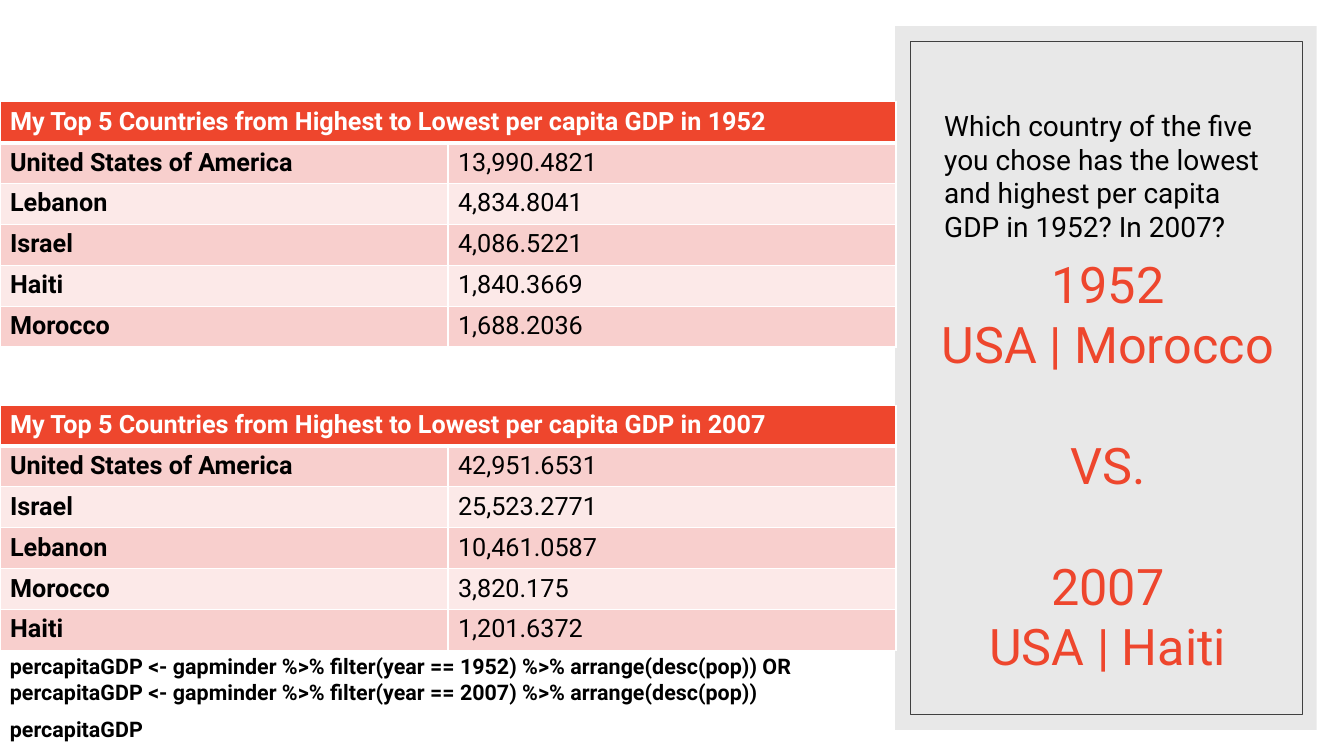
from dataclasses import dataclass

from lxml.etree import SubElement
from pptx import Presentation
from pptx.dml.color import RGBColor
from pptx.enum.shapes import MSO_SHAPE
from pptx.enum.text import MSO_ANCHOR, PP_ALIGN
from pptx.oxml.ns import qn
from pptx.util import Pt

BLACK = RGBColor(0x00, 0x00, 0x00)
WHITE = RGBColor(0xFF, 0xFF, 0xFF)
RED = RGBColor(0xEE, 0x46, 0x2D)
DARK_BAND = RGBColor(0xF8, 0xCF, 0xCD)
LIGHT_BAND = RGBColor(0xFC, 0xE9, 0xE8)
PANEL_GREY = RGBColor(0xD9, 0xD9, 0xD9)
FRAME_GREY = RGBColor(0x40, 0x40, 0x40)
FONT = "Roboto"
TABLE_WIDTH = 640
ROW_HEIGHT = 29.2


@dataclass
class Box:
    left: float
    top: float
    width: float
    height: float

    def lengths(self) -> tuple:
        return Pt(self.left), Pt(self.top), Pt(self.width), Pt(self.height)


@dataclass
class Style:
    size: float
    color: RGBColor = BLACK
    bold: bool = False


@dataclass
class Line:
    text: str
    space_before: float = 0


@dataclass
class Ranking:
    year: int
    top: float
    rows: list[tuple[str, str]]


RANKINGS = [
    Ranking(2007, 289.4, [
        ("United States of America", "42,951.6531"),
        ("Israel", "25,523.2771"),
        ("Lebanon", "10,461.0587"),
        ("Morocco", "3,820.175"),
        ("Haiti", "1,201.6372"),
    ]),
    Ranking(1952, 72.7, [
        ("United States of America", "13,990.4821"),
        ("Lebanon", "4,834.8041"),
        ("Israel", "4,086.5221"),
        ("Haiti", "1,840.3669"),
        ("Morocco", "1,688.2036"),
    ]),
]
QUESTION = [Line("Which country of the five you chose has the lowest and highest "
                 "per capita GDP in 1952? In 2007?")]
CODE = [
    Line("percapitaGDP <- gapminder %>% filter(year == 1952) %>% arrange(desc(pop)) OR "
         "percapitaGDP <- gapminder %>% filter(year == 2007) %>% arrange(desc(pop))"),
    Line("percapitaGDP", 8),
]
ANSWER = [
    Line("1952"),
    Line("USA | Morocco"),
    Line("VS.", 43),
    Line("2007", 43),
    Line("USA | Haiti"),
]


def add_run(p, text: str, style: Style) -> None:
    r = p.add_run()
    r.text = text
    r.font.name = FONT
    r.font.size = Pt(style.size)
    r.font.bold = style.bold
    r.font.color.rgb = style.color


def add_text(slide, box: Box, lines: list[Line], style: Style, align=PP_ALIGN.LEFT,
             anchor=MSO_ANCHOR.TOP, wrap: bool = True) -> None:
    tf = slide.shapes.add_textbox(*box.lengths()).text_frame
    tf.word_wrap = wrap
    tf.vertical_anchor = anchor
    for i, line in enumerate(lines):
        p = tf.add_paragraph() if i else tf.paragraphs[0]
        p.alignment = align
        p.space_before = Pt(line.space_before)
        add_run(p, line.text, style)


def add_panel(slide) -> None:
    """Draw the translucent grey panel and the thin frame inside it."""
    panel = slide.shapes.add_shape(MSO_SHAPE.RECTANGLE, *Box(639.4, 18.7, 301, 502.6).lengths())
    panel.shadow.inherit = False
    panel.fill.solid()
    panel.fill.fore_color.rgb = PANEL_GREY
    panel.line.fill.background()
    color = panel.fill._xPr.find(qn("a:solidFill")).find(qn("a:srgbClr"))
    SubElement(color, qn("a:alpha"), val="60000")

    frame = slide.shapes.add_shape(MSO_SHAPE.RECTANGLE, *Box(650.2, 29.5, 280, 481).lengths())
    frame.shadow.inherit = False
    frame.fill.background()
    frame.line.color.rgb = FRAME_GREY
    frame.line.width = Pt(0.5)


def set_borders(cell, top: float, bottom: float) -> None:
    """Give a cell white borders; call before its fill, which must follow them."""
    tc_pr = cell._tc.get_or_add_tcPr()
    for side, width in (("L", 1), ("R", 1), ("T", top), ("B", bottom)):
        ln = SubElement(tc_pr, qn(f"a:ln{side}"), w=str(Pt(width)))
        SubElement(SubElement(ln, qn("a:solidFill")), qn("a:srgbClr"), val=str(WHITE))


def fill_cell(cell, text: str, style: Style, fill: RGBColor,
              top: float = 1, bottom: float = 1) -> None:
    set_borders(cell, top, bottom)
    cell.fill.solid()
    cell.fill.fore_color.rgb = fill
    if text:
        add_run(cell.text_frame.paragraphs[0], text, style)


def add_ranking(slide, ranking: Ranking) -> None:
    count = len(ranking.rows) + 1
    box = Box(0, ranking.top, TABLE_WIDTH, count * ROW_HEIGHT)
    table = slide.shapes.add_table(count, 2, *box.lengths()).table
    title = f"My Top 5 Countries from Highest to Lowest per capita GDP in {ranking.year}"
    table.cell(0, 0).merge(table.cell(0, 1))
    for col, text in enumerate((title, "")):
        fill_cell(table.cell(0, col), text, Style(18, WHITE, True), RED, bottom=3)
    for row, values in enumerate(ranking.rows, start=1):
        band = DARK_BAND if row % 2 else LIGHT_BAND
        for col, text in enumerate(values):
            fill_cell(table.cell(row, col), text, Style(18, bold=col == 0), band,
                      top=3 if row == 1 else 1)


def main() -> None:
    prs = Presentation()
    prs.slide_width, prs.slide_height = Pt(960), Pt(540)
    slide = prs.slides.add_slide(prs.slide_layouts[6])
    add_panel(slide)
    add_text(slide, Box(667.4, 47.5, 247.7, 129.6), QUESTION, Style(20),
             anchor=MSO_ANCHOR.BOTTOM)
    add_text(slide, Box(0, 463, TABLE_WIDTH, 85), CODE, Style(15.3, bold=True))
    for ranking in RANKINGS:
        add_ranking(slide, ranking)
    add_text(slide, Box(661.7, 177.1, 259.2, 312.5), ANSWER, Style(36, RED),
             align=PP_ALIGN.CENTER, wrap=False)
    prs.save("out.pptx")


if __name__ == "__main__":
    main()
